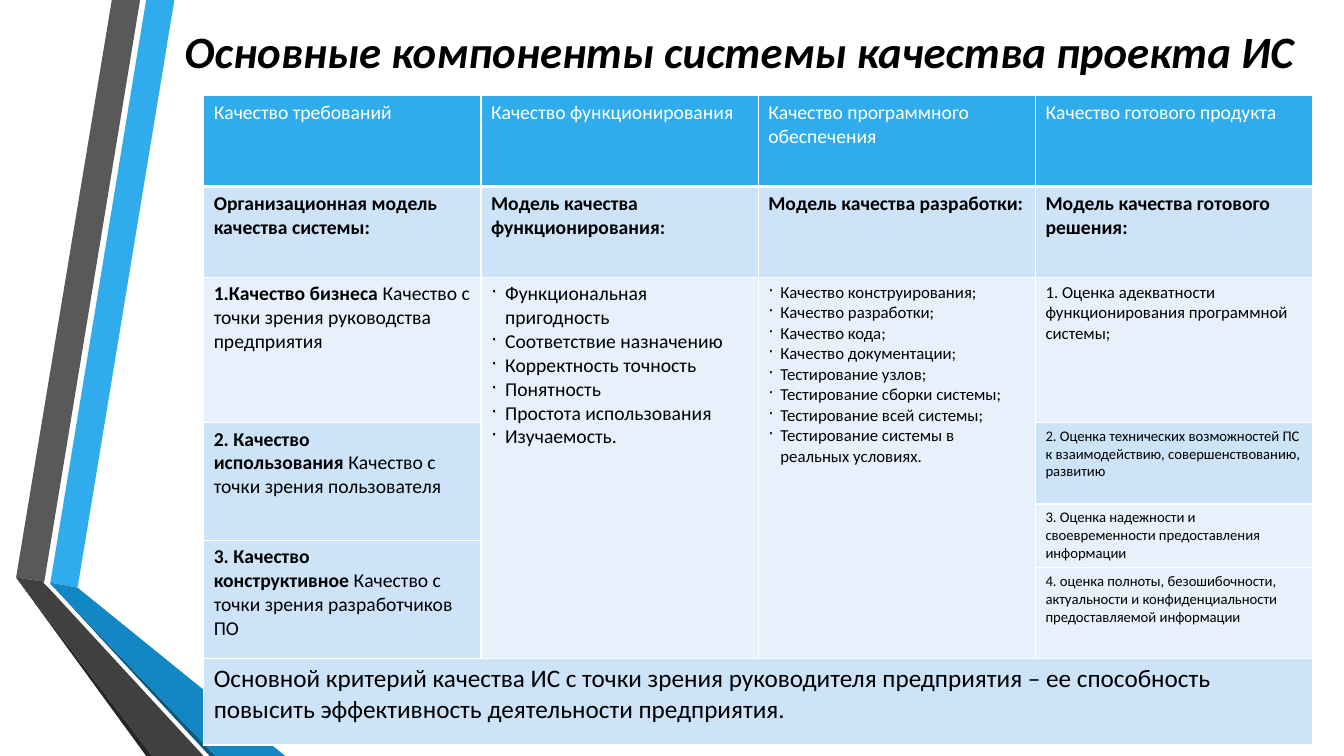
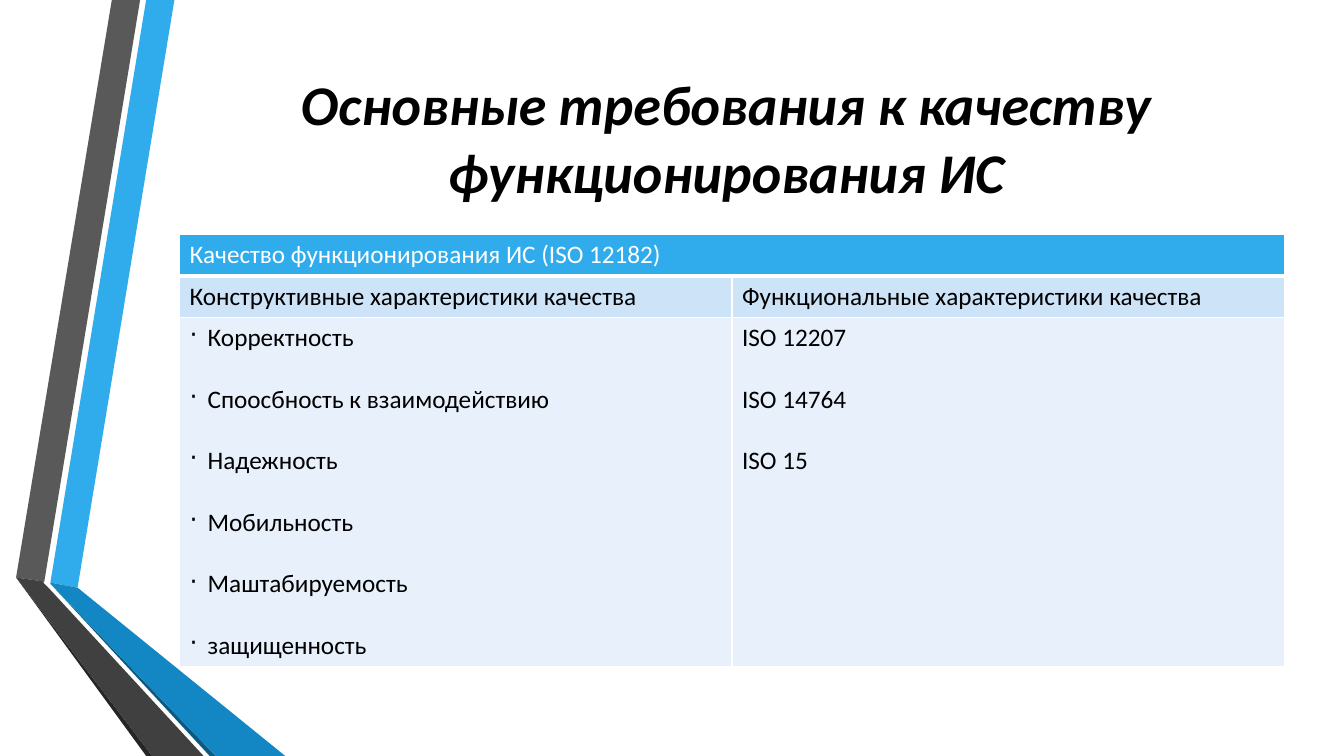
from dataclasses import dataclass

from lxml.etree import SubElement
from pptx import Presentation
from pptx.dml.color import RGBColor
from pptx.enum.text import MSO_ANCHOR, MSO_AUTO_SIZE, PP_ALIGN
from pptx.oxml.ns import qn
from pptx.oxml.xmlchemy import OxmlElement
from pptx.slide import Slide, SlideLayout
from pptx.table import _Cell
from pptx.util import Inches, Pt

MIDDLE = MSO_ANCHOR.MIDDLE
FIXED = MSO_AUTO_SIZE.NONE
CENTER = PP_ALIGN.CENTER
FONT = "Calibri"
COLORS = {
    "white": "FFFFFF",
    "black": "000000",
    "blue": "30ACEC",
    "deep": "1287C3",
    "navy": "0C5A82",
    "gray": "595959",
    "dark": "404040",
    "coal": "262626",
    "tint": "CDE3F8",
    "pale": "E8F1FB",
}


@dataclass
class Band:
    color: str
    points: list[tuple[float, float]]


@dataclass
class Box:
    left: float
    top: float
    width: float
    height: float


@dataclass
class Entry:
    row: int
    col: int
    lines: list[str]
    fill: str
    size: float = 14
    bold: bool = False
    lead: str = ""
    rows: int = 1
    cols: int = 1
    bullet: bool = False
    gap: float = 0


BANDS = [
    Band("blue", [(0.5, 5.78), (0.77, 5.83), (1.73, 0), (1.45, 0)]),
    Band("gray", [(1.39, 0), (1.11, 0), (0.16, 5.73), (0.44, 5.77)]),
    Band("coal", [(0.16, 5.73), (1.45, 7.5), (1.51, 7.5)]),
    Band("navy", [(0.5, 5.79), (2.08, 7.5), (2.14, 7.5)]),
    Band("deep", [(0.5, 5.79), (2.14, 7.5), (2.83, 7.5), (0.77, 5.83), (0.5, 5.78)]),
    Band("dark", [(2.02, 7.5), (0.48, 5.83), (0.43, 5.78), (0.44, 5.77),
                  (0.16, 5.73), (1.51, 7.5)]),
]

HEADS = [
    "Качество требований",
    "Качество функционирования",
    "Качество программного обеспечения",
    "Качество готового продукта",
]
MODELS = [
    "Организационная модель качества системы:",
    "Модель качества функционирования:",
    "Модель качества разработки:",
    "Модель качества готового решения:",
]
USAGE = [
    "Функциональная пригодность",
    "Соответствие назначению",
    "Корректность точность",
    "Понятность",
    "Простота использования",
    "Изучаемость.",
]
BUILD = [
    "Качество конструирования;",
    "Качество разработки;",
    "Качество кода;",
    "Качество документации;",
    "Тестирование узлов;",
    "Тестирование сборки системы;",
    "Тестирование всей системы;",
    "Тестирование системы в реальных условиях.",
]
PARTS = [
    *[Entry(0, col, [text], "blue") for col, text in enumerate(HEADS)],
    *[Entry(1, col, [text], "tint", bold=True) for col, text in enumerate(MODELS)],
    Entry(2, 0, ["Качество с точки зрения руководства предприятия"], "pale",
          lead="1.Качество бизнеса"),
    Entry(3, 0, ["Качество с точки зрения пользователя"], "tint",
          lead="2. Качество использования", rows=2),
    Entry(5, 0, ["Качество с точки зрения разработчиков ПО"], "tint",
          lead="3. Качество конструктивное", rows=2),
    Entry(2, 1, USAGE, "pale", rows=5, bullet=True),
    Entry(2, 2, BUILD, "pale", 12, rows=5, bullet=True),
    Entry(2, 3, ["1. Оценка адекватности функционирования программной системы;"],
          "pale", 12),
    Entry(3, 3, ["2. Оценка технических возможностей ПС к взаимодействию, "
                 "совершенствованию, развитию"], "tint", 10.5),
    Entry(4, 3, ["3. Оценка надежности и своевременности предоставления информации"],
          "pale", 10.5, rows=2),
    Entry(6, 3, ["4. оценка полноты, безошибочности, актуальности и "
                 "конфиденциальности предоставляемой информации"], "pale", 10.5),
    Entry(7, 0, ["Основной критерий качества ИС с точки зрения руководителя "
                 "предприятия – ее способность повысить эффективность "
                 "деятельности предприятия."], "tint", 18, cols=4),
]

TRAITS = [
    "Корректность",
    "Споосбность к взаимодействию",
    "Надежность",
    "Мобильность",
    "Маштабируемость",
    "защищенность",
]
NORMS = ["ISO 12207", "ISO 14764", "ISO 15"]
NEEDS = [
    Entry(0, 0, ["Качество функционирования ИС\u00a0(ISO 12182)"], "blue", 18, cols=2),
    Entry(1, 0, ["Конструктивные характеристики качества"], "tint", 18),
    Entry(1, 1, ["Функциональные характеристики качества"], "tint", 18),
    Entry(2, 0, TRAITS, "pale", 18, bullet=True, gap=22),
    Entry(2, 1, NORMS, "pale", 18, gap=22),
]


def paint(name: str) -> RGBColor:
    return RGBColor.from_string(COLORS[name])


def add_bands(slide: Slide, layout: SlideLayout) -> None:
    for place, band in enumerate(BANDS, 2):
        points = [(Inches(x), Inches(y)) for x, y in band.points]
        pen = slide.shapes.build_freeform(*points[0])
        pen.add_line_segments(points[1:], close=True)
        shape = pen.convert_to_shape()
        shape.shadow.inherit = False
        shape.fill.solid()
        shape.fill.fore_color.rgb = paint(band.color)
        shape.line.fill.background()
        layout.shapes.element.insert(place, shape.element)


def add_title(slide: Slide, text: str, box: Box, size: float) -> None:
    title = slide.shapes.title
    title.left, title.top = Inches(box.left), Inches(box.top)
    title.width, title.height = Inches(box.width), Inches(box.height)
    frame = title.text_frame
    frame.text = text
    frame.word_wrap = True
    frame.auto_size = FIXED
    frame.vertical_anchor = MIDDLE
    para = frame.paragraphs[0]
    para.alignment = CENTER
    font = para.font
    font.name, font.size = FONT, Pt(size)
    font.bold = font.italic = True
    font.color.rgb = paint("black")


def add_edges(cell: _Cell, row: int) -> None:
    props = cell._tc.get_or_add_tcPr()
    widths = {"L": 1, "R": 1, "T": 3 if row == 1 else 1, "B": 3 if row == 0 else 1}
    for place, (side, width) in enumerate(widths.items()):
        edge = OxmlElement(f"a:ln{side}")
        edge.set("w", str(Pt(width)))
        fill = SubElement(edge, qn("a:solidFill"))
        SubElement(fill, qn("a:srgbClr"), val=COLORS["white"])
        props.insert(place, edge)


def write(cell: _Cell, entry: Entry) -> None:
    frame = cell.text_frame
    for index, line in enumerate(entry.lines):
        para = frame.add_paragraph() if index else frame.paragraphs[0]
        if entry.bullet:
            props = para._p.get_or_add_pPr()
            indent = Inches(entry.size / 100)
            props.set("marL", str(indent))
            props.set("indent", str(-indent))
            SubElement(props, qn("a:buChar"), char="·")
        if index and entry.gap:
            para.space_before = Pt(entry.gap)
        para.font.name, para.font.size = FONT, Pt(entry.size)
        pieces = [(line, entry.bold)]
        if entry.lead:
            pieces = [(entry.lead, True), ("\u00a0" + line, False)]
        for text, bold in pieces:
            run = para.add_run()
            run.text = text
            run.font.bold = bold
            run.font.color.rgb = paint("white" if entry.fill == "blue" else "black")


def add_grid(slide: Slide, left: float, top: float, width: float, count: int,
             rows: list[float], entries: list[Entry]) -> None:
    frame = slide.shapes.add_table(len(rows), count, Inches(left), Inches(top),
                                   Inches(width), Inches(sum(rows)))
    table = frame.table
    table.horz_banding = False
    for row, height in zip(table.rows, rows):
        row.height = Inches(height)
    for entry in entries:
        first = table.cell(entry.row, entry.col)
        last_row = entry.row + entry.rows
        last_col = entry.col + entry.cols
        if entry.rows * entry.cols > 1:
            first.merge(table.cell(last_row - 1, last_col - 1))
        for row in range(entry.row, last_row):
            for col in range(entry.col, last_col):
                cell = table.cell(row, col)
                cell.fill.solid()
                cell.fill.fore_color.rgb = paint(entry.fill)
                add_edges(cell, row)
        write(first, entry)


def main() -> None:
    deck = Presentation()
    deck.slide_width, deck.slide_height = Inches(13.33), Inches(7.5)
    layout = deck.slide_layouts.get_by_name("Title Only")

    system = deck.slides.add_slide(layout)
    add_bands(system, layout)
    add_title(system, "Основные компоненты системы качества проекта ИС",
              Box(1.66, -0.29, 11.36, 1.59), 32)
    add_grid(system, 2.02, 0.95, 11, 4,
             [0.9, 0.9, 1.44, 0.81, 0.36, 0.27, 0.9, 0.86], PARTS)

    needs = deck.slides.add_slide(layout)
    add_title(needs, "Основные требования к качеству функционирования ИС",
              Box(1.72, 0.4, 10.96, 1.92), 40)
    add_grid(needs, 1.78, 2.33, 10.96, 2, [0.41, 0.41, 3.45], NEEDS)

    deck.save("out.pptx")


main()
